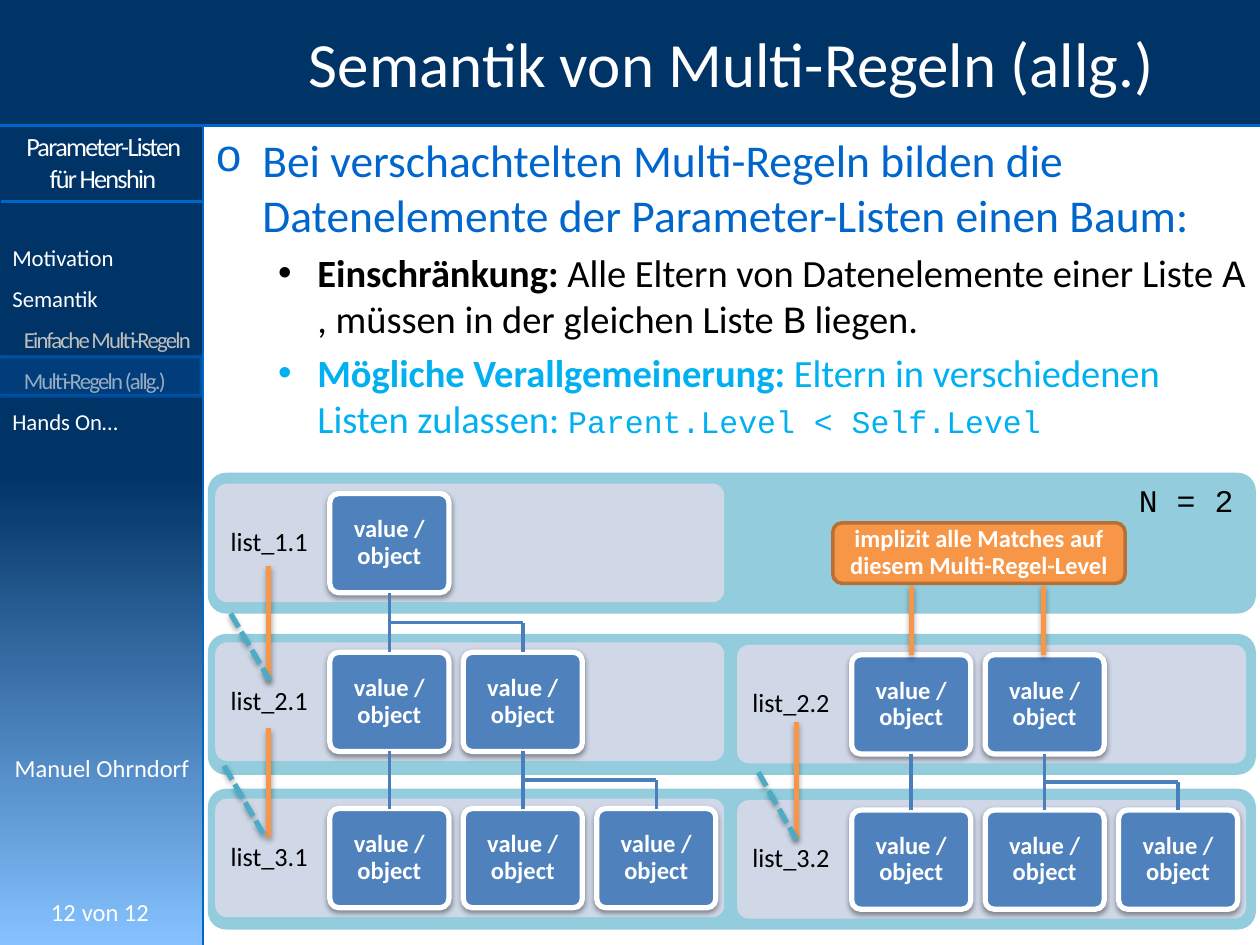
"""Build the slide on the semantics of nested multi-rules."""
from lxml.etree import SubElement
from pptx import Presentation
from pptx.dml.color import RGBColor
from pptx.enum.dml import MSO_LINE
from pptx.enum.shapes import MSO_CONNECTOR, MSO_SHAPE
from pptx.enum.text import MSO_ANCHOR, PP_ALIGN
from pptx.oxml.ns import qn
from pptx.util import Cm, Pt

WHITE, BLACK, GREY = "FFFFFF", "000000", "BFBFBF"
NAVY, BLUE, CYAN = "003366", "0066CC", "00B0F0"
BAND, PANEL, BOX, EDGE = "93CDDD", "D0D8E8", "4F81BD", "4B7EBC"
ORANGE, BROWN, TEAL = "F79646", "B76F34", "4BACC6"
SANS, MONO = "Calibri", "Courier New"

NAVIGATION = [("Motivation", 0), ("Semantik", 0), ("Einfache Multi-Regeln", 1),
              ("Multi-Regeln (allg.)", 1), ("Hands On…", 0)]
BODY = [
    (26, BLUE, "o", MONO, 0.95, -0.95, [
        ("Bei verschachtelten Multi-Regeln bilden die Datenelemente "
         "der Parameter-Listen einen Baum:", {})]),
    (22, BLACK, "•", "Arial", 2.06, -0.79, [
        ("Einschränkung: ", {"bold": True}),
        ("Alle Eltern von Datenelemente einer Liste ", {}),
        ("A", {"font": MONO}), (" , müssen in der gleichen Liste ", {}),
        ("B", {"font": MONO}), (" liegen.", {})]),
    (22, CYAN, "•", "Arial", 2.06, -0.79, [
        ("Mögliche Verallgemeinerung: ", {"bold": True}),
        ("Eltern in verschiedenen Listen zulassen: ", {}),
        ("Parent.Level < Self.Level", {"font": MONO, "size": 18})]),
]
BAND_TOPS = [9.53, 12.78, 15.9]
LISTS = [
    ("list_1.1", 4.34, 9.75, 1), ("list_2.1", 4.34, 12.95, 2), ("list_3.1", 4.34, 16.1, 3),
    ("list_2.2", 14.86, 13, 2), ("list_3.2", 14.86, 16.13, 3),
]
TREE = [("list_1.1", "list_2.1", [(0, 0), (0, 1)]),
        ("list_2.1", "list_3.1", [(0, 0), (1, 1), (1, 2)]),
        ("list_2.2", "list_3.2", [(0, 0), (1, 1), (1, 2)])]
MATCH_LINES = [(5.42, 11.4, 5.42, 13.72), (5.42, 14.68, 5.42, 16.87), (16.05, 14.55, 16.05, 16.89),
               (18.37, 11.81, 18.37, 13.21), (21.04, 11.81, 21.04, 13.21)]
DASHED_LINES = [(4.65, 12.37, 5.44, 13.72), (4.52, 15.44, 5.31, 16.81), (15.29, 15.57, 16.05, 16.92)]
BOX_WIDTH, BOX_HEIGHT, BOX_PITCH = 2.4, 2, 2.69
BOX_LEFT, BOX_TOP = 2.31, 0.2


def color(value):
    return RGBColor.from_string(value)


def set_effects(shape, shadow=None):
    properties = shape._element.spPr
    effects = SubElement(properties, qn("a:effectLst"))
    if shadow:
        distance, opacity = shadow
        outer = SubElement(effects, qn("a:outerShdw"), blurRad="40000", dist=str(distance),
                           dir="5400000", rotWithShape="0")
        black = SubElement(outer, qn("a:srgbClr"), val=BLACK)
        SubElement(black, qn("a:alpha"), val=str(opacity * 1000))


def set_alpha(fill, percent):
    target = fill._xPr.find(qn("a:solidFill"))[0]
    SubElement(target, qn("a:alpha"), val=str(percent * 1000))


def style_run(run, size, ink, font=SANS, bold=False, spacing=0):
    run.font.size, run.font.name, run.font.bold = Pt(size), font, bold
    run.font.color.rgb = color(ink)
    if spacing:
        run._r.get_or_add_rPr().set("spc", str(spacing * 100))


def style_paragraph(paragraph, size, ink, align=PP_ALIGN.LEFT, **options):
    paragraph.alignment = align
    for run in paragraph.runs:
        style_run(run, size, ink, **options)


def set_indent(paragraph, margin, indent):
    properties = paragraph._p.get_or_add_pPr()
    properties.set("marL", str(Cm(margin)))
    properties.set("indent", str(Cm(indent)))
    return properties


def add_text(slide, place, text, size, ink, align=PP_ALIGN.LEFT, wrap=True, **options):
    frame = slide.shapes.add_textbox(*map(Cm, place)).text_frame
    frame.word_wrap = wrap
    frame.text = text
    for paragraph in frame.paragraphs:
        style_paragraph(paragraph, size, ink, align, **options)
    return frame


def add_block(slide, place, fill, corner=0, line=None, width=0, shadow=None):
    kind = MSO_SHAPE.ROUNDED_RECTANGLE if corner else MSO_SHAPE.RECTANGLE
    shape = slide.shapes.add_shape(kind, *map(Cm, place))
    if corner:
        shape.adjustments[0] = corner
    shape.fill.solid()
    shape.fill.fore_color.rgb = color(fill)
    if line:
        shape.line.color.rgb = color(line)
        shape.line.width = Pt(width)
    else:
        shape.line.fill.background()
    set_effects(shape, shadow)
    return shape


def fill_block(shape, text, size, ink, align, bold, margin, right):
    frame = shape.text_frame
    frame.word_wrap = True
    frame.vertical_anchor = MSO_ANCHOR.MIDDLE
    frame.margin_left = frame.margin_top = frame.margin_bottom = Cm(margin)
    frame.margin_right = Cm(right)
    frame.text = text
    frame.paragraphs[0].line_spacing = 0.9
    style_paragraph(frame.paragraphs[0], size, ink, align, bold=bold)


def add_line(slide, ends, ink, width, shadow=None, dashed=False):
    line = slide.shapes.add_connector(MSO_CONNECTOR.STRAIGHT, *map(Cm, ends))
    line.line.color.rgb = color(ink)
    line.line.width = Pt(width)
    if dashed:
        line.line.dash_style = MSO_LINE.SQUARE_DOT
    set_effects(line, shadow)


def add_frame(slide):
    sidebar = add_block(slide, (0, 0, 4.11, 19.05), NAVY)
    sidebar.fill.gradient()
    sidebar.fill.gradient_angle = 270
    for stop, (position, ink) in zip(sidebar.fill.gradient_stops, [(0.5, NAVY), (1, "85C2FF")]):
        stop.position, stop.color.rgb = position, color(ink)
    add_block(slide, (0, 0, 25.4, 2.51), NAVY)
    center = PP_ALIGN.CENTER
    add_text(slide, (0.03, 2.51, 4.09, 1.55), "Parameter-Listen für Henshin", 15, WHITE, center, spacing=-1)
    add_text(slide, (0, 15.06, 4.11, 0.86), "Manuel Ohrndorf", 14, WHITE, center)
    add_text(slide, (0.71, 17.96, 1.07, 0.86), "12", 14, WHITE, PP_ALIGN.RIGHT)
    add_text(slide, (1.4, 17.96, 2.01, 0.86), "von 12", 14, WHITE, wrap=False)
    for ends in [(0.03, 4.06, 4.09, 4.06), (0, 2.53, 25.4, 2.53), (4.09, 2.54, 4.09, 19.05)]:
        add_line(slide, ends, BLUE, 1.5)
    title = add_text(slide, (5.64, 0, 18.21, 2.51), "Semantik von Multi-Regeln (allg.)", 36, WHITE, center)
    title.vertical_anchor = MSO_ANCHOR.MIDDLE
    menu = add_text(slide, (0, 4.52, 4.11, 4.42), "\n".join(name for name, _ in NAVIGATION), 13, WHITE)
    for paragraph, (_, level) in zip(menu.paragraphs, NAVIGATION):
        paragraph.line_spacing = 1.5
        if level:
            set_indent(paragraph, 0.48, -0.25)
            style_paragraph(paragraph, 13, GREY, spacing=-1)


def add_body(slide):
    frame = add_text(slide, (4.09, 2.54, 21.31, 9), "", 26, BLUE)
    for index, (size, ink, bullet, bullet_font, margin, indent, runs) in enumerate(BODY):
        paragraph = frame.add_paragraph() if index else frame.paragraphs[0]
        paragraph.space_before = Pt(size * 0.2)
        properties = set_indent(paragraph, margin, indent)
        SubElement(properties, qn("a:buFont"), typeface=bullet_font)
        SubElement(properties, qn("a:buChar"), char=bullet)
        for text, options in runs:
            run = paragraph.add_run()
            run.text = text
            style_run(run, **{"size": size, "ink": ink, **options})


def add_tree(slide):
    for top in BAND_TOPS:
        add_block(slide, (4.19, top, 21.13, 2.84), BAND, 0.13)
    origins = {}
    for name, left, top, count in LISTS:
        origins[name] = left + BOX_LEFT, top + BOX_TOP
        panel = add_block(slide, (left, top, 10.26, 2.39), PANEL, 0.1)
        fill_block(panel, name, 15, BLACK, PP_ALIGN.LEFT, False, 0.24, 7.3)
        for column in range(count):
            place = (left + BOX_LEFT + column * BOX_PITCH, top + BOX_TOP, BOX_WIDTH, BOX_HEIGHT)
            box = add_block(slide, place, BOX, 0.09, WHITE, 3, (20000, 38))
            fill_block(box, "value / object", 14, WHITE, PP_ALIGN.CENTER, True, 0.15, 0.15)
    for parent, child, edges in TREE:
        left, start = origins[parent][0] + BOX_WIDTH / 2, origins[parent][1] + BOX_HEIGHT
        end = origins[child][1]
        middle = (start + end) / 2
        for source, target in edges:
            source_x, target_x = left + source * BOX_PITCH, left + target * BOX_PITCH
            if source != target:
                add_line(slide, (source_x, middle, target_x, middle), EDGE, 2)
            add_line(slide, (target_x, start if source == target else middle, target_x, end), EDGE, 2)


def main():
    presentation = Presentation()
    presentation.slide_width, presentation.slide_height = Cm(25.4), Cm(19.05)
    slide = presentation.slides.add_slide(presentation.slide_layouts[6])
    add_frame(slide)
    add_body(slide)
    add_tree(slide)
    callout = add_block(slide, (16.79, 10.54, 5.89, 1.22), ORANGE, 0.15, BROWN, 2)
    fill_block(callout, "implizit alle Matches auf diesem Multi-Regel-Level", 14, WHITE,
               PP_ALIGN.CENTER, True, 0.15, 0.15)
    add_text(slide, (22.71, 9.58, 2.44, 1.02), "N = 2", 18, BLACK, wrap=False, font=MONO)
    for ink, lines in [(ORANGE, MATCH_LINES), (TEAL, DASHED_LINES)]:
        for ends in lines:
            add_line(slide, ends, ink, 3, (23000, 35), dashed=ink == TEAL)
    marker = add_block(slide, (-0.03, 7.19, 4.09, 0.79), BLUE, 0, BLUE, 2)
    set_alpha(marker.fill, 20)
    set_alpha(marker.line.fill, 50)
    presentation.save("out.pptx")


if __name__ == "__main__":
    main()
